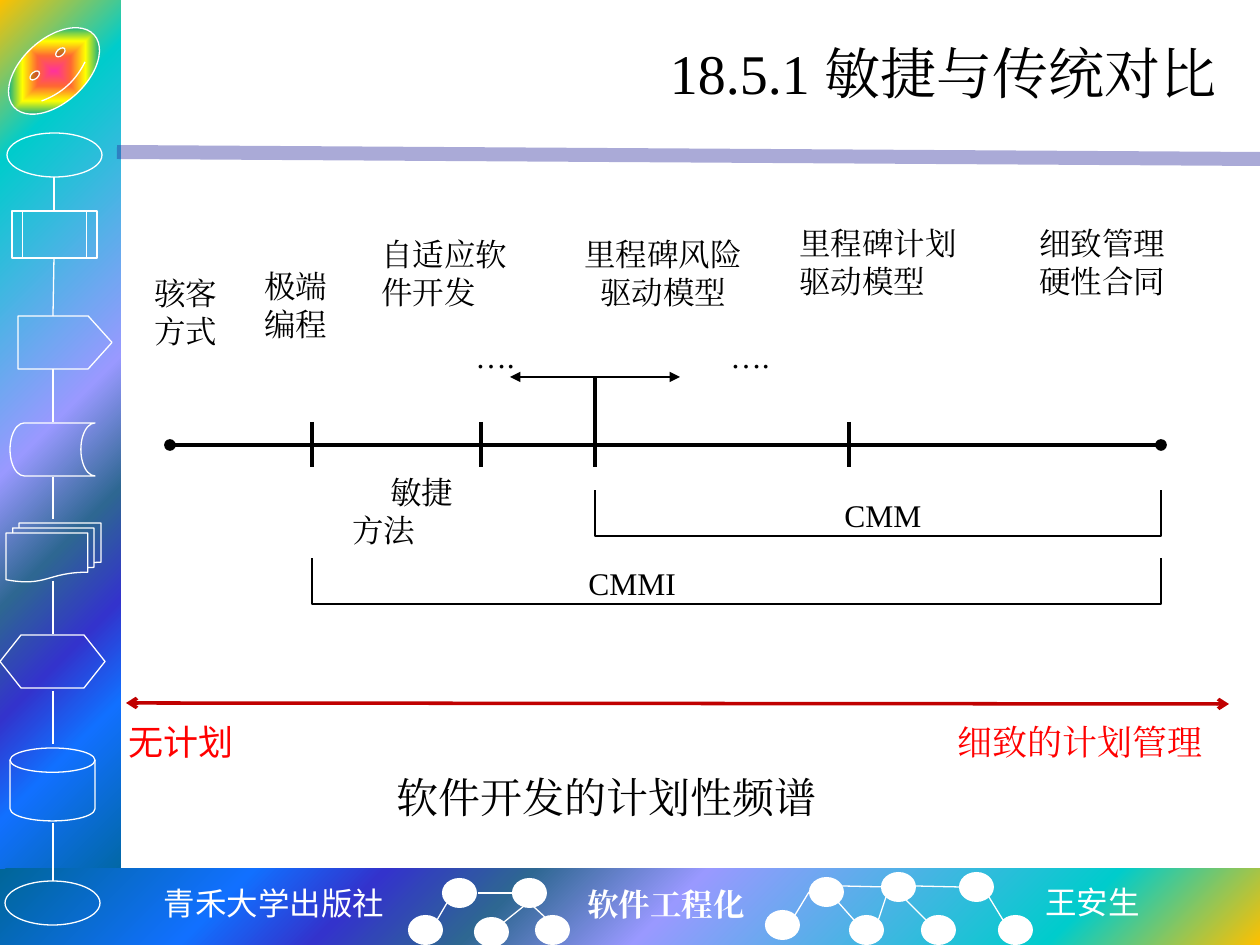
import lxml.etree
import pptx
import pptx.dml.color
import pptx.enum.dml
import pptx.enum.shapes
import pptx.enum.text
import pptx.oxml.ns
import pptx.util

SHAPES = pptx.enum.shapes.MSO_SHAPE
ALIGN = pptx.enum.text.PP_ALIGN
qn = pptx.oxml.ns.qn
PIXEL = 914400 / 126
SERIF = "Times New Roman"
COLORS = {"white": "FFFFFF", "black": "000000", "red": "FF0000",
          "plan": "C00000", "rule": "262699"}

# Gradient stops: position in percent, colour
BAND_STOPS = [(0, "FFC000"), (16, "00CCCC"), (47, "9999FF"), (60, "2E6792"),
              (71, "3333CC"), (81, "1170FF"), (100, "006699")]
FACE_STOPS = [(0, "FF3399"), (25, "FF6633"), (50, "FFFF00"),
              (75, "01A78F"), (100, "3366FF")]

# Bands: box, gradient focus as left, top, right, bottom percent
BANDS = [((0, 0, 121, 893), (0, 0, 100, 100)),
         ((0, 869, 1260, 76), (100, 100, 0, 0))]
FACE_BOX = (0, 39, 108, 64)

# Flowchart column in the sidebar
FLOW_SHAPES = [
    (SHAPES.OVAL, (7, 133, 95, 44)),
    (SHAPES.FLOWCHART_PREDEFINED_PROCESS, (12, 211, 85, 47)),
    (SHAPES.PENTAGON, (18, 316, 94, 53)),
    (SHAPES.FLOWCHART_STORED_DATA, (10, 423, 85, 53)),
    (SHAPES.FLOWCHART_MULTIDOCUMENT, (6, 523, 95, 59)),
    (SHAPES.FLOWCHART_PREPARATION, (0, 635, 105, 53)),
    (SHAPES.FLOWCHART_MAGNETIC_DISK, (10, 748, 85, 73)),
    (SHAPES.OVAL, (5, 881, 95, 44)),
]
FLOW_LINKS = [(54, 177, 54, 211), (54, 258, 53, 316), (53, 369, 53, 422),
              (53, 477, 53, 519), (53, 581, 53, 634), (53, 691, 53, 744),
              (53, 823, 53, 881)]

# Node networks in the footer
NODE_SIZE = (35, 30)
NODES = [(442, 878), (512, 878), (408, 915), (474, 917), (535, 915), (765, 910),
         (809, 877), (849, 915), (881, 872), (921, 915), (959, 872), (998, 915)]
NODE_LINKS = [(437, 920, 447, 903), (504, 922, 524, 906), (512, 893, 478, 893),
              (547, 919, 534, 907), (795, 915, 809, 892), (842, 886, 886, 887),
              (854, 920, 838, 902), (878, 921, 886, 897), (926, 920, 901, 895),
              (915, 886, 959, 887), (1003, 920, 989, 897)]

# Spectrum: tick x and top, brackets as left, top, right, bottom
AXIS_Y, AXIS_END, TICK_BOTTOM = 445, 1161, 467
TICKS = [(312, 422), (481, 422), (595, 377), (849, 422)]
BRACKETS = [(312, 558, AXIS_END, 604), (595, 490, AXIS_END, 536)]

# Texts: box, paragraphs, changes from the default format
FIRST_LINE = {"indent": 38}
HANGING = {"size": 20, "color": "red", "margin": 47, "indent": -47}
TEXTS = [
    ((150, 878, 248, 50), ["青禾大学出版社"],
     {"font": "Courier New", "color": "white", "align": ALIGN.CENTER, "wrap": False}),
    ((575, 879, 184, 50), ["软件工程化"], {"color": "white", "bold": True, "wrap": False}),
    ((1033, 877, 121, 50), ["王安生"],
     {"font": "Noto Sans CJK SC", "color": "white", "wrap": False}),
    ((158, 21, 1071, 102), ["18.5.1 敏捷与传统对比"],
     {"size": 32, "align": ALIGN.RIGHT, "anchor": pptx.enum.text.MSO_ANCHOR.MIDDLE}),
    ((116, 714, 158, 63), ["无计划"], {**HANGING, "font": "Noto Sans CJK JP"}),
    ((945, 714, 284, 116), ["细致的计划管理"], HANGING),
    ((384, 765, 450, 63), ["软件开发的计划性频谱"], {"size": 24, "wrap": False}),
    ((142, 268, 113, 113), ["骇客", "方式"], {}),
    ((252, 261, 113, 91), ["极端", "编程"], {}),
    ((369, 229, 170, 113), ["自适应软件开发"], {}),
    ((571, 229, 184, 113), ["里程碑风险驱动模型"], {"align": ALIGN.CENTER}),
    ((787, 218, 192, 113), ["里程碑计划驱动模型"], {}),
    ((1027, 218, 163, 113), ["细致管理", "硬性合同"], {}),
    ((340, 467, 141, 68), ["敏捷方法"], FIRST_LINE),
    ((425, 331, 113, 68), ["…."], FIRST_LINE),
    ((680, 331, 113, 68), ["…."], FIRST_LINE),
    ((794, 490, 170, 68), ["CMM"], FIRST_LINE),
    ((538, 558, 170, 68), ["CMMI"], FIRST_LINE),
]
DEFAULT_FORMAT = {"font": SERIF, "size": 18, "color": "black", "bold": False,
                  "align": ALIGN.LEFT, "anchor": pptx.enum.text.MSO_ANCHOR.TOP,
                  "wrap": True, "margin": 0, "indent": 0}

presentation = pptx.Presentation()
presentation.slide_width = pptx.util.Inches(10)
presentation.slide_height = pptx.util.Inches(7.5)
slide = presentation.slides.add_slide(presentation.slide_layouts[6])


def emu(*pixels):
    return [round(value * PIXEL) for value in pixels]


def rgb(name):
    return pptx.dml.color.RGBColor.from_string(COLORS[name])


def set_line(shape, color, width):
    shape.line.color.rgb = rgb(color)
    shape.line.width = pptx.util.Pt(width)


def add_shape(kind, box, fill=None, outline=None):
    shape = slide.shapes.add_shape(kind, *emu(*box))
    shape.shadow.inherit = False
    if fill:
        shape.fill.solid()
        shape.fill.fore_color.rgb = rgb(fill)
    else:
        shape.fill.background()
    if outline:
        set_line(shape, outline, 0.75)
    else:
        shape.line.fill.background()
    return shape


def set_gradient(shape, stops, path_kind, focus):
    gradient = lxml.etree.Element(qn("a:gradFill"), rotWithShape="1")
    stop_list = lxml.etree.SubElement(gradient, qn("a:gsLst"))
    for position, color in stops:
        stop = lxml.etree.SubElement(stop_list, qn("a:gs"), pos=str(position * 1000))
        lxml.etree.SubElement(stop, qn("a:srgbClr"), val=color)
    route = lxml.etree.SubElement(gradient, qn("a:path"), {"path": path_kind})
    edges = {side: str(value * 1000) for side, value in zip("ltrb", focus)}
    lxml.etree.SubElement(route, qn("a:fillToRect"), edges)
    properties = shape.element.spPr
    properties.replace(properties.find(qn("a:noFill")), gradient)


def add_line(ends, color, width, arrow=None):
    line = slide.shapes.add_connector(pptx.enum.shapes.MSO_CONNECTOR.STRAIGHT, *emu(*ends))
    set_line(line, color, width)
    if arrow:
        for end in ("a:headEnd", "a:tailEnd"):
            lxml.etree.SubElement(line.line._get_or_add_ln(), qn(end), type=arrow)
    lxml.etree.SubElement(line.element.spPr, qn("a:effectLst"))
    return line


def add_text(box, lines, changes):
    style = {**DEFAULT_FORMAT, **changes}
    frame = slide.shapes.add_textbox(*emu(*box)).text_frame
    frame.word_wrap = style["wrap"]
    frame.vertical_anchor = style["anchor"]
    frame.text = "\n".join(lines)
    font_values = {"name": style["font"], "size": pptx.util.Pt(style["size"]),
                   "bold": style["bold"]}
    for paragraph in frame.paragraphs:
        paragraph.alignment = style["align"]
        margin, indent = emu(style["margin"], style["indent"])
        properties = paragraph._p.get_or_add_pPr()
        properties.set("marL", str(margin))
        properties.set("indent", str(indent))
        for run in paragraph.runs:
            for name, value in font_values.items():
                setattr(run.font, name, value)
            run.font.color.rgb = rgb(style["color"])
            lxml.etree.SubElement(run._r.get_or_add_rPr(), qn("a:ea"), typeface=style["font"])


# Gradient bands and title rule
for box, focus in BANDS:
    set_gradient(add_shape(SHAPES.RECTANGLE, box), BAND_STOPS, "circle", focus)
title_rule = add_line((117, 152, 1260, 159), "rule", 8)
rule_color = title_rule.element.spPr.find(".//" + qn("a:srgbClr"))
lxml.etree.SubElement(rule_color, qn("a:alpha"), val="39000")

# Sidebar
face = add_shape(SHAPES.SMILEY_FACE, FACE_BOX, outline="white")
face.rotation = -42
set_gradient(face, FACE_STOPS, "shape", (50, 50, 50, 50))
for kind, box in FLOW_SHAPES:
    flow_shape = add_shape(kind, box, outline="white")
    if kind == SHAPES.PENTAGON:
        flow_shape.adjustments[0] = 0.45

# Footer networks
for corner in NODES:
    add_shape(SHAPES.OVAL, corner + NODE_SIZE, fill="white")
for ends in FLOW_LINKS + NODE_LINKS:
    add_line(ends, "white", 0.75)

# Spectrum
add_line((126, 703, 1229, 704), "plan", 2, "arrow")
add_line((170, AXIS_Y, AXIS_END, AXIS_Y), "black", 2.25, "oval")
for x, top in TICKS:
    add_line((x, top, x, TICK_BOTTOM), "black", 2.25)
add_line((510, 377, 680, 377), "black", 0.75, "triangle")
for left, top, right, bottom in BRACKETS:
    builder = slide.shapes.build_freeform(left, top, scale=PIXEL)
    builder.add_line_segments([(left, bottom), (right, bottom), (right, top)], close=False)
    bracket = builder.convert_to_shape()
    bracket.shadow.inherit = False
    bracket.fill.background()
    set_line(bracket, "black", 0.75)

# Texts
for box, lines, changes in TEXTS:
    add_text(box, lines, changes)

presentation.save("out.pptx")
